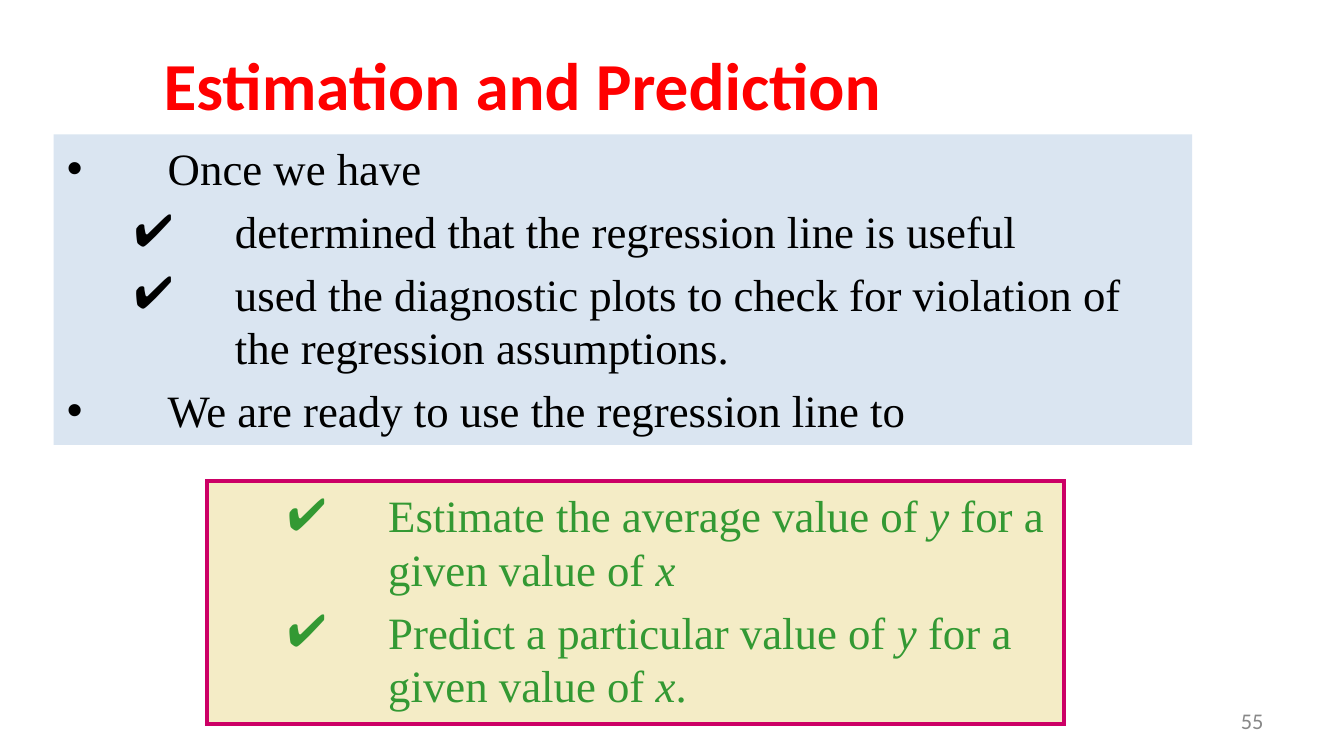
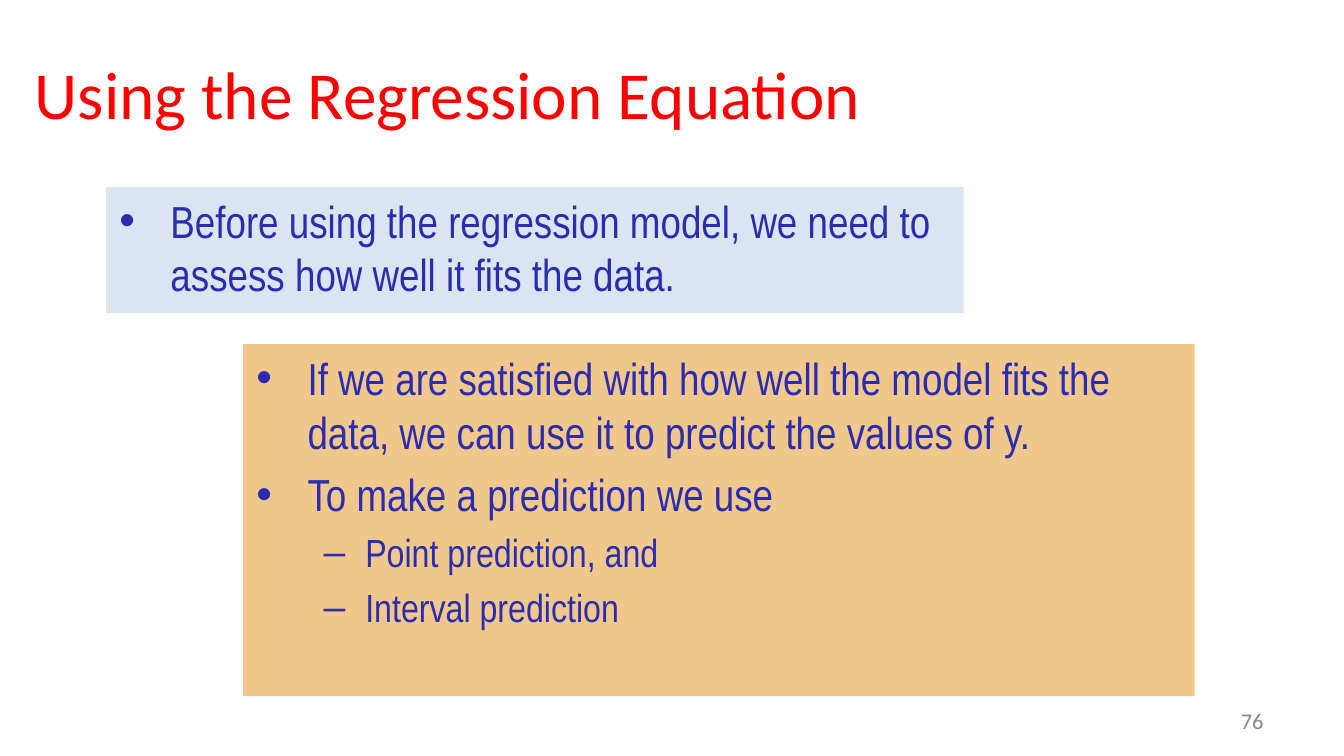
from pptx import Presentation
from pptx.dml.color import RGBColor
from pptx.enum.shapes import MSO_SHAPE as Shape
from pptx.enum.text import MSO_ANCHOR as Anchor, PP_ALIGN as Align
from pptx.oxml.ns import qn
from pptx.util import Inches, Pt
from lxml import etree

RED = RGBColor(0xFF, 0x00, 0x00)
BLACK = RGBColor(0x00, 0x00, 0x00)
GREEN = RGBColor(0x33, 0x99, 0x33)
INDIGO = RGBColor(0x2C, 0x2C, 0xB0)
GREY = RGBColor(0x88, 0x88, 0x88)
PALE_BLUE = RGBColor(0xDA, 0xE5, 0xF1)
CREAM = RGBColor(0xF4, 0xEC, 0xC6)
ORANGE = RGBColor(0xF1, 0xC8, 0x8B)
MAGENTA = RGBColor(0xCC, 0x00, 0x66)

PAGE_WIDTH = Inches(10)
PAGE_HEIGHT = PAGE_WIDTH * 9 // 16
HEADING_FONT = "Calibri"
NUMBER_AREA = (7.17, 5.21, 2.33, 0.3)

# Bullet styles by level: (character, left margin, hanging indent, size)
SERIF = {"font": "Times New Roman",
         "levels": [("•", 0.75, 0.75, 24), ("✔", 1.25, 0.75, 24)]}
NARROW = {"font": "Arial Narrow",
          "levels": [("•", 0.38, 0.38, 24), ("–", 0.81, 0.31, 21)]}

# Items are (level, text); text between asterisks is italic.
SLIDES = [
    {"title": "Estimation and Prediction", "title_area": (1.12, 0.24, 6, 0.76),
     "bold": True, "number": "55", "style": SERIF,
     "panels": [
         {"area": (0.4, 1, 8.47, 2.31), "fill": PALE_BLUE, "color": BLACK,
          "items": [
              (0, "Once we have"),
              (1, "determined that the regression line is useful"),
              (1, "used the diagnostic plots to check for violation of "
                  "the regression assumptions."),
              (0, "We are ready to use the regression line to")]},
         {"area": (1.54, 3.58, 6.38, 1.81), "fill": CREAM, "color": GREEN,
          "border": MAGENTA,
          "items": [
              (1, "Estimate the average value of *y* for a given value of *x*"),
              (1, "Predict a particular value of *y* for a given value of *x*.")]},
     ]},
    {"title": "Using the Regression Equation", "title_area": (0.16, 0.22, 6.75, 0.94),
     "bold": False, "number": "76", "style": NARROW,
     "panels": [
         {"area": (1.81, 2.56, 7.08, 2.62), "fill": ORANGE, "color": INDIGO,
          "items": [
              (0, "If we are satisfied with how well the model fits the data, "
                  "we can use it to predict the values of y."),
              (0, "To make a prediction we use"),
              (1, "Point prediction, and"),
              (1, "Interval prediction")]},
         {"area": (0.79, 1.39, 6.38, 0.94), "fill": PALE_BLUE, "color": INDIGO,
          "items": [
              (0, "Before using the regression model, we need to assess "
                  "how well it fits the data.")]},
     ]},
]


def set_font(para, name, size, color, bold=False):
    font = para.font
    font.name, font.size, font.bold = name, Pt(size), bold
    font.color.rgb = color


def add_label(page, area, text, size, color, bold=False, align=Align.LEFT):
    frame = page.shapes.add_textbox(*map(Inches, area)).text_frame
    frame.word_wrap = True
    frame.vertical_anchor = Anchor.MIDDLE
    para = frame.paragraphs[0]
    para.text, para.alignment = text, align
    set_font(para, HEADING_FONT, size, color, bold)


def add_bullet(para, character, margin, hanging, color):
    props = para._p.get_or_add_pPr()
    props.set("marL", str(Inches(margin)))
    props.set("indent", str(-Inches(hanging)))
    bullet_color = etree.SubElement(props, qn("a:buClr"))
    etree.SubElement(bullet_color, qn("a:srgbClr"), val=str(color))
    etree.SubElement(props, qn("a:buFont"), typeface="Arial")
    etree.SubElement(props, qn("a:buChar"), char=character)


def add_border(box, color):
    """Outline the box with square corners."""
    box.line.color.rgb = color
    box.line.width = Pt(2.25)
    outline = box.line._get_or_add_ln()
    etree.SubElement(outline, qn("a:miter"), lim="800000")


def add_panel(page, panel, style):
    box = page.shapes.add_shape(Shape.RECTANGLE, *map(Inches, panel["area"]))
    box.shadow.inherit = False
    box.fill.solid()
    box.fill.fore_color.rgb = panel["fill"]
    if "border" in panel:
        add_border(box, panel["border"])
    else:
        box.line.fill.background()

    frame = box.text_frame
    frame.word_wrap = True
    frame.vertical_anchor = Anchor.TOP
    for index, (level, text) in enumerate(panel["items"]):
        character, margin, hanging, size = style["levels"][level]
        para = frame.add_paragraph() if index else frame.paragraphs[0]
        para.level, para.alignment = level, Align.LEFT
        if index:
            para.space_before = Pt(size * 0.2)
        add_bullet(para, character, margin, hanging, panel["color"])
        set_font(para, style["font"], size, panel["color"])
        for position, part in enumerate(text.split("*")):
            if part:
                span = para.add_run()
                span.text = part
                if position % 2:
                    span.font.italic = True


def main():
    deck = Presentation()
    deck.slide_width, deck.slide_height = PAGE_WIDTH, PAGE_HEIGHT
    for content in SLIDES:
        page = deck.slides.add_slide(deck.slide_layouts[6])
        add_label(page, content["title_area"], content["title"], 36, RED, content["bold"])
        for panel in content["panels"]:
            add_panel(page, panel, content["style"])
        add_label(page, NUMBER_AREA, content["number"], 12, GREY, align=Align.RIGHT)
    deck.save("out.pptx")


if __name__ == "__main__":
    main()
